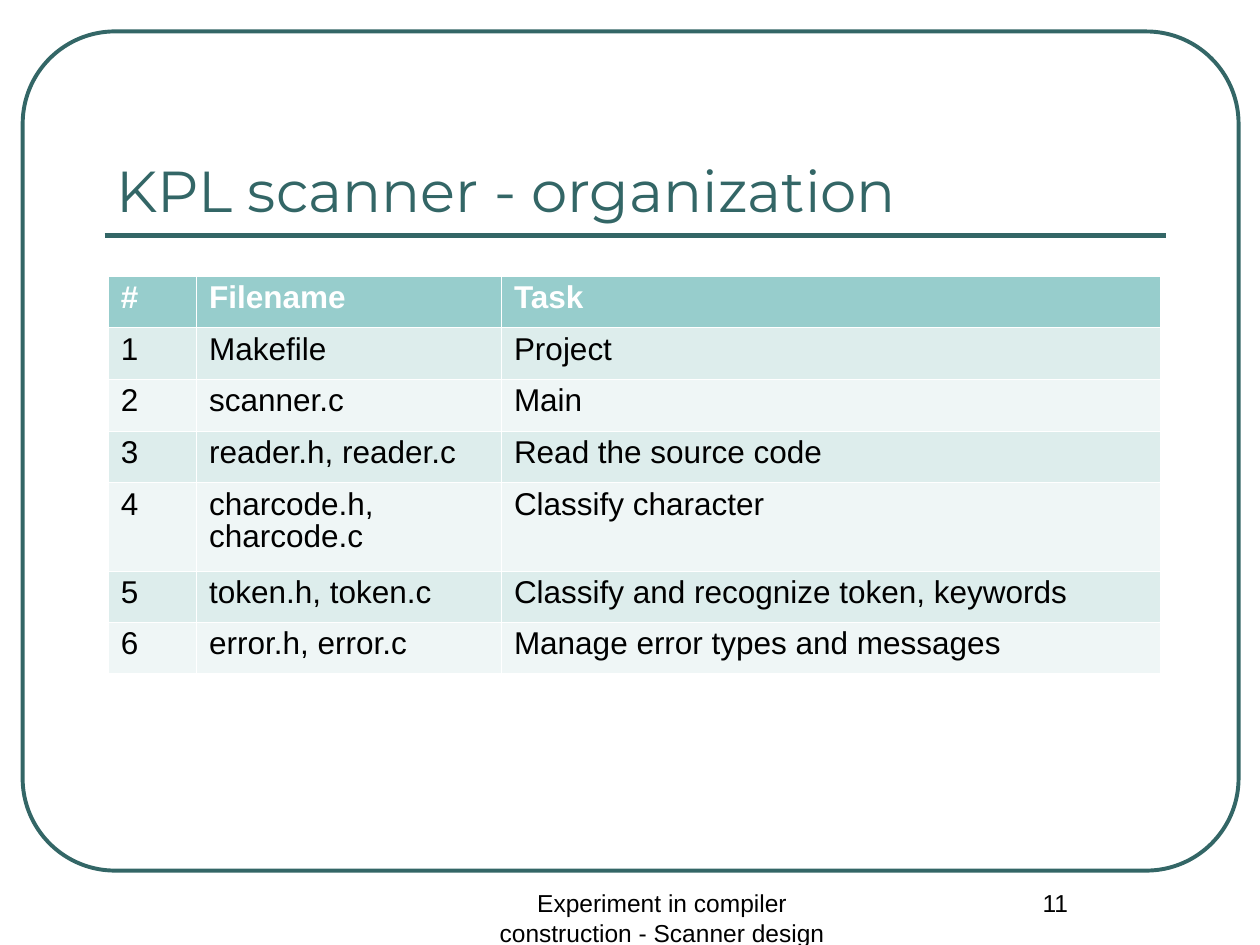
from dataclasses import dataclass

from lxml.etree import SubElement
from pptx import Presentation
from pptx.dml.color import RGBColor
from pptx.enum.shapes import MSO_CONNECTOR, MSO_SHAPE
from pptx.enum.text import MSO_ANCHOR, PP_ALIGN
from pptx.oxml.ns import qn
from pptx.slide import Slide
from pptx.table import _Cell
from pptx.util import Inches, Pt

COLORS = {
    "teal": "336666",
    "header": "97CDCC",
    "odd": "DDEDEC",
    "even": "EFF6F6",
    "white": "FFFFFF",
    "black": "000000",
}
COLUMN_WIDTHS = (0.7, 2.42, 5.23)
ROW_HEIGHTS = (0.41, 0.41, 0.41, 0.41, 0.7, 0.41, 0.4)
HEADINGS = ("#", "Filename", "Task")
FILES = (
    ("Makefile", "Project"),
    ("scanner.c", "Main"),
    ("reader.h, reader.c", "Read the source code"),
    ("charcode.h, charcode.c", "Classify character"),
    ("token.h, token.c", "Classify and recognize token, keywords"),
    ("error.h, error.c", "Manage error types and messages"),
)


@dataclass(frozen=True)
class Label:
    """A text box with a single paragraph."""

    text: str
    left: float
    top: float
    width: float
    height: float
    size: float
    font: str = "Arial"
    color: str = "black"
    alignment: PP_ALIGN = PP_ALIGN.CENTER
    anchor: MSO_ANCHOR = MSO_ANCHOR.TOP


LABELS = (
    Label("Experiment in compiler construction - Scanner design", 3.67, 7, 3.17, 0.5, 14),
    Label("11", 7.5, 7, 1.75, 0.5, 14),
    Label("KPL scanner - organization", 0.83, 0.58, 8.42, 1.25, 33,
          "Montserrat", "teal", PP_ALIGN.LEFT, MSO_ANCHOR.BOTTOM),
)


def rgb(name: str) -> RGBColor:
    """Look up a named colour."""
    return RGBColor.from_string(COLORS[name])


def draw_frame(slide: Slide) -> None:
    """Draw the rounded frame and the rule under the title."""
    frame = slide.shapes.add_shape(
        MSO_SHAPE.ROUNDED_RECTANGLE, Inches(0.18), Inches(0.25), Inches(9.65), Inches(6.66)
    )
    frame.adjustments[0] = 0.11
    frame.shadow.inherit = False
    frame.fill.background()
    frame.line.color.rgb = rgb("teal")
    frame.line.width = Pt(2.25)
    rule = slide.shapes.add_connector(
        MSO_CONNECTOR.STRAIGHT, Inches(0.83), Inches(1.87), Inches(9.25), Inches(1.87)
    )
    rule.line.color.rgb = rgb("teal")
    rule.line.width = Pt(3)
    SubElement(rule._element.spPr, qn("a:effectLst"))


def draw_label(slide: Slide, label: Label) -> None:
    """Draw one text box."""
    shape = slide.shapes.add_textbox(
        Inches(label.left), Inches(label.top), Inches(label.width), Inches(label.height)
    )
    frame = shape.text_frame
    frame.word_wrap = True
    frame.vertical_anchor = label.anchor
    frame.text = label.text
    paragraph = frame.paragraphs[0]
    paragraph.alignment = label.alignment
    paragraph.font.name = label.font
    paragraph.font.size = Pt(label.size)
    paragraph.font.color.rgb = rgb(label.color)


def set_borders(cell: _Cell, row: int) -> None:
    """Outline a cell in white, thicker between header and body."""
    properties = cell._tc.get_or_add_tcPr()
    thick_side = {0: "lnB", 1: "lnT"}.get(row)
    for index, side in enumerate(("lnL", "lnR", "lnT", "lnB")):
        width = Pt(0.75 if side == thick_side else 0.23)
        line = properties.makeelement(qn(f"a:{side}"), {"w": str(width)})
        fill = SubElement(line, qn("a:solidFill"))
        SubElement(fill, qn("a:srgbClr"), val=COLORS["white"])
        properties.insert(index, line)


def fill_cell(cell: _Cell, text: str, row: int) -> None:
    """Write and style one table cell."""
    header = row == 0
    cell.text = text
    cell.margin_left = cell.margin_right = Inches(0.1)
    cell.margin_top = cell.margin_bottom = Inches(0.05)
    cell.fill.solid()
    cell.fill.fore_color.rgb = rgb("header" if header else "odd" if row % 2 else "even")
    paragraph = cell.text_frame.paragraphs[0]
    paragraph.line_spacing = 0.93
    paragraph.font.name = "Arial"
    paragraph.font.size = Pt(18)
    paragraph.font.bold = header
    paragraph.font.color.rgb = rgb("white" if header else "black")
    set_borders(cell, row)


def draw_table(slide: Slide) -> None:
    """Draw the table of source files and their tasks."""
    rows = [HEADINGS] + [(str(number), *entry) for number, entry in enumerate(FILES, 1)]
    table = slide.shapes.add_table(
        len(rows), len(HEADINGS), Inches(0.86), Inches(2.19),
        Inches(sum(COLUMN_WIDTHS)), Inches(sum(ROW_HEIGHTS)),
    ).table
    for column, width in zip(table.columns, COLUMN_WIDTHS):
        column.width = Inches(width)
    for row, (texts, height) in enumerate(zip(rows, ROW_HEIGHTS)):
        table.rows[row].height = Inches(height)
        for column, text in enumerate(texts):
            fill_cell(table.cell(row, column), text, row)


def main() -> None:
    """Build and save the presentation."""
    presentation = Presentation()
    presentation.slide_width = Inches(10)
    presentation.slide_height = Inches(7.5)
    slide = presentation.slides.add_slide(presentation.slide_layouts[6])
    draw_frame(slide)
    for label in LABELS:
        draw_label(slide, label)
    draw_table(slide)
    presentation.save("out.pptx")


if __name__ == "__main__":
    main()
